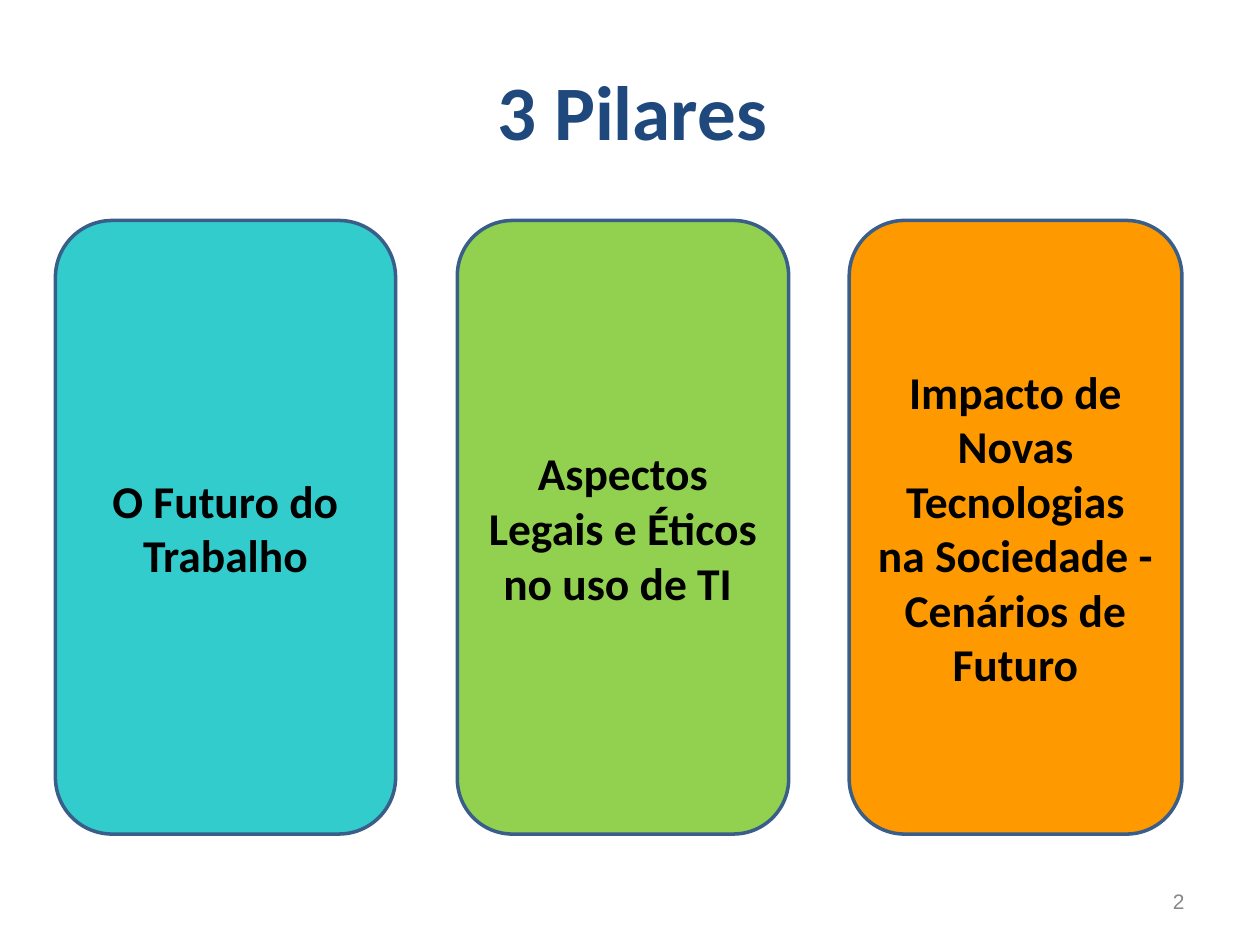
import pptx
import pptx.util
from pptx.dml.color import RGBColor
from pptx.enum.shapes import MSO_SHAPE
from pptx.enum.text import MSO_ANCHOR, PP_ALIGN
from pptx.util import Inches

NAVY = RGBColor(0x1F, 0x49, 0x7D)
OUTLINE = RGBColor(0x39, 0x5E, 0x89)
TEAL = RGBColor(0x33, 0xCC, 0xCC)
GREEN = RGBColor(0x92, 0xD0, 0x50)
ORANGE = RGBColor(0xFF, 0x99, 0x00)
BLACK = RGBColor(0, 0, 0)
GRAY = RGBColor(0x88, 0x88, 0x88)

TITLE = {"name": "Calibri", "size": pptx.util.Pt(44), "bold": True}
PILLAR = {"name": "Calibri", "size": pptx.util.Pt(26), "bold": True}
NUMBER = {"name": "Arial", "size": pptx.util.Pt(12), "bold": False}

PILLAR_TOP, PILLAR_HEIGHT = 1.75, 4.87
PILLARS = [
    (0.44, 2.70, TEAL, "O Futuro do Trabalho"),
    (3.63, 2.63, GREEN, "Aspectos Legais e Éticos no uso de TI "),
    (6.74, 2.64, ORANGE,
     "Impacto de Novas Tecnologias na Sociedade - Cenários de Futuro"),
]


class SlideBuilder:
    """Holds the outline style and the current slide."""

    def __init__(self, page, outline, outline_width):
        self.page = page
        self.outline = outline
        self.outline_width = outline_width

    def fill_text(self, box, text, style, color, align, anchor):
        frame = box.text_frame
        frame.word_wrap = True
        frame.vertical_anchor = anchor
        para = frame.paragraphs[0]
        para.alignment = align
        span = para.add_run()
        span.text = text
        span.font.color.rgb = color
        for key, value in style.items():
            setattr(span.font, key, value)

    def label(self, area, text, style, color, align, anchor):
        box = self.page.shapes.add_textbox(*map(Inches, area))
        self.fill_text(box, text, style, color, align, anchor)

    def pillar(self, area, fill, text):
        box = self.page.shapes.add_shape(
            MSO_SHAPE.ROUNDED_RECTANGLE, *map(Inches, area))
        box.shadow.inherit = False
        box.fill.solid()
        box.fill.fore_color.rgb = fill
        box.line.color.rgb = self.outline
        box.line.width = self.outline_width
        self.fill_text(box, text, PILLAR, BLACK,
                       PP_ALIGN.CENTER, MSO_ANCHOR.MIDDLE)


def main():
    deck = pptx.Presentation()
    deck.slide_width, deck.slide_height = Inches(10), Inches(7.5)
    page = deck.slides.add_slide(deck.slide_layouts[6])
    builder = SlideBuilder(page, OUTLINE, pptx.util.Pt(2))

    # Page number and title
    builder.label((7.17, 6.95, 2.33, 0.4), "2", NUMBER, GRAY,
                  PP_ALIGN.RIGHT, MSO_ANCHOR.MIDDLE)
    builder.label((0.99, 0.04, 8.06, 1.25), "3 Pilares", TITLE, NAVY,
                  PP_ALIGN.CENTER, MSO_ANCHOR.BOTTOM)

    # Three pillars
    for left, width, fill, text in PILLARS:
        builder.pillar((left, PILLAR_TOP, width, PILLAR_HEIGHT), fill, text)

    deck.save("out.pptx")


if __name__ == "__main__":
    main()
